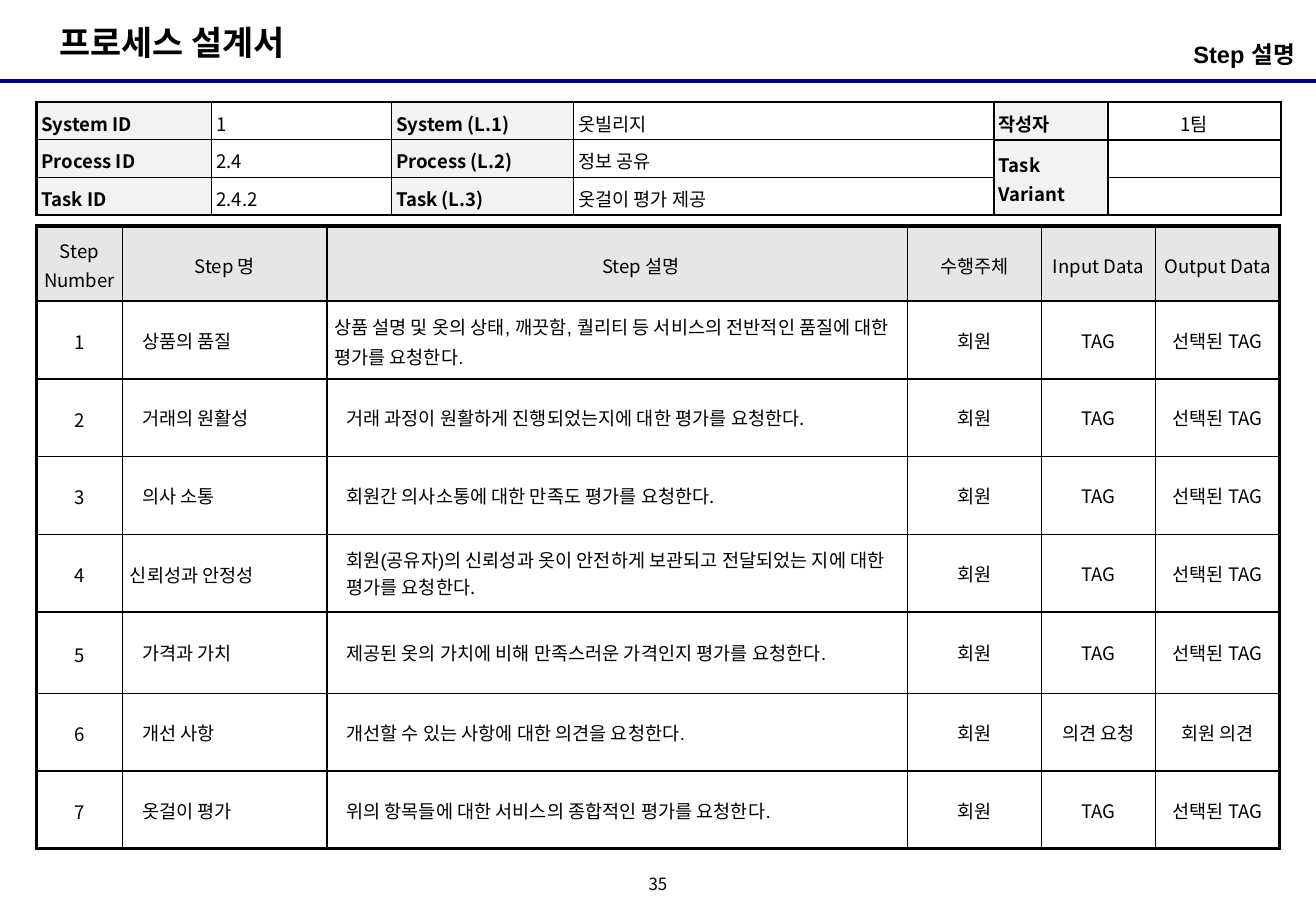
from dataclasses import dataclass

from lxml import etree
from pptx import Presentation
from pptx.dml.color import RGBColor
from pptx.enum.shapes import MSO_CONNECTOR
from pptx.enum.text import MSO_ANCHOR, PP_ALIGN
from pptx.oxml.ns import qn
from pptx.util import Inches, Pt

LEFT, CENTER, RIGHT = PP_ALIGN.LEFT, PP_ALIGN.CENTER, PP_ALIGN.RIGHT
TOP, MIDDLE = MSO_ANCHOR.TOP, MSO_ANCHOR.MIDDLE
STRAIGHT = MSO_CONNECTOR.STRAIGHT

COLORS = {"ink": "000000", "rule": "000080", "label": "F2F2F2", "heading": "E6E6E6"}
KOREAN, LATIN = "Noto Sans CJK KR", "Arial"
TABLE_SIZE = 11
THIN = 1


@dataclass
class Run:
    text: str
    font: str = KOREAN


@dataclass
class Cell:
    runs: list[Run]
    fill: str = ""
    bold: bool = False
    align: PP_ALIGN = LEFT
    anchor: MSO_ANCHOR = MIDDLE
    indent: float = 0
    spacing: float = 1.1
    bottom: float = THIN


@dataclass
class Grid:
    top: float
    columns: list[float]
    rows: list[float]
    side_inset: float
    frame: float


@dataclass
class Label:
    run: Run
    box: tuple[float, float, float, float]
    size: float
    insets: tuple[float, float]
    bold: bool = True
    wrap: bool = False
    align: PP_ALIGN = LEFT
    anchor: MSO_ANCHOR = TOP
    spacing: float = 1


def add_run(paragraph, run: Run, size: float, bold: bool) -> None:
    piece = paragraph.add_run()
    piece.text = run.text
    font = piece.font
    font.size, font.bold, font.name = Pt(size), bold, run.font
    font.color.rgb = RGBColor.from_string(COLORS["ink"])
    east_asian = etree.Element(qn("a:ea"), typeface=KOREAN)
    piece._r.get_or_add_rPr().find(qn("a:latin")).addnext(east_asian)


def add_label(slide, label: Label) -> None:
    frame = slide.shapes.add_textbox(*map(Inches, label.box)).text_frame
    frame.word_wrap = label.wrap
    frame.vertical_anchor = label.anchor
    side, end = map(Inches, label.insets)
    frame.margin_left = frame.margin_right = side
    frame.margin_top = frame.margin_bottom = end
    paragraph = frame.paragraphs[0]
    paragraph.alignment, paragraph.line_spacing = label.align, label.spacing
    add_run(paragraph, label.run, label.size, label.bold)


def set_borders(target, widths: dict[str, float]) -> None:
    properties = target._tc.get_or_add_tcPr()
    for index, (side, width) in enumerate(widths.items()):
        line = etree.Element(qn(f"a:ln{side}"), w=str(Pt(width)))
        solid = etree.SubElement(line, qn("a:solidFill"))
        etree.SubElement(solid, qn("a:srgbClr"), val=COLORS["ink"])
        properties.insert(index, line)


def fill_cell(target, cell: Cell, side_inset: float) -> None:
    target.margin_left = target.margin_right = Inches(side_inset)
    target.margin_top = target.margin_bottom = Inches(0.04)
    target.vertical_anchor = cell.anchor
    if cell.fill:
        target.fill.solid()
        target.fill.fore_color.rgb = RGBColor.from_string(COLORS[cell.fill])
    else:
        target.fill.background()
    paragraph = target.text_frame.paragraphs[0]
    paragraph.alignment, paragraph.line_spacing = cell.align, cell.spacing
    if cell.indent:
        properties = paragraph._p.get_or_add_pPr()
        properties.set("marL", str(Inches(cell.indent)))
        properties.set("indent", "0")
    for run in cell.runs:
        add_run(paragraph, run, TABLE_SIZE, cell.bold)
    if not cell.runs:
        etree.SubElement(paragraph._p, qn("a:endParaRPr"), sz=str(TABLE_SIZE * 100))


def add_grid(slide, grid: Grid, cells: list[list[Cell]], merged=None) -> None:
    row_count, column_count = len(grid.rows), len(grid.columns)
    table = slide.shapes.add_table(
        row_count, column_count, Inches(0.3), Inches(grid.top),
        Inches(sum(grid.columns)), Inches(sum(grid.rows))).table
    table.first_row = table.horz_banding = False
    for column, width in zip(table.columns, grid.columns):
        column.width = Inches(width)
    for row, height in zip(table.rows, grid.rows):
        row.height = Inches(height)
    if merged:
        first, last = merged
        table.cell(*first).merge(table.cell(*last))
    for r, row_cells in enumerate(cells):
        for c, cell in enumerate(row_cells):
            target = table.cell(r, c)
            fill_cell(target, cell, grid.side_inset)
            last_row = r + (target.span_height if target.is_merge_origin else 1)
            above = cells[r - 1][c].bottom
            set_borders(target, {
                "L": THIN if c else grid.frame,
                "R": THIN if c < column_count - 1 else grid.frame,
                "T": above if r else grid.frame,
                "B": cell.bottom if last_row < row_count else grid.frame,
            })


def name_cell(text: str) -> Cell:
    return Cell([Run(text)], fill="label", bold=True, anchor=TOP)


def value_cell(text: str) -> Cell:
    return Cell([Run(text)], anchor=TOP)


def centered(text: str, spacing: float = 1) -> Cell:
    return Cell([Run(text)], align=CENTER, spacing=spacing)


def heading(text: str, indent: float = 0) -> Cell:
    return Cell([Run(text)], fill="heading", align=CENTER, indent=indent)


def indented(runs: list[Run], flush: bool) -> Cell:
    return Cell(runs) if flush else Cell(runs, indent=0.1, spacing=1)


# Process identification: ID, level and author columns
IDENTITY = [
    ("System ID", "1", "System (L.1)", "옷빌리지"),
    ("Process ID", "2.4", "Process (L.2)", "정보 공유"),
    ("Task ID", "2.4.2", "Task (L.3)", "옷걸이 평가 제공"),
]
AUTHOR = [
    [Cell([Run("작성자")], fill="label", bold=True, bottom=1.5),
     Cell([Run("1팀")], align=CENTER, bottom=1.5)],
    [Cell([Run("Task Variant")], fill="label", bold=True), Cell([])],
    [Cell([], fill="label"), Cell([])],
]
IDENTITY_GRID = Grid(0.84, [1.44, 1.48, 1.5, 3.46, 0.94, 1.42], [0.31] * 3, 0.04, 1.5)

# Steps: name, description, input, output
ASK = "요청한다."
STEPS = [
    ("상품의 품질", [Run("상품 설명 및 "), Run(
        "옷의 상태, 깨끗함, 퀄리티 등 서비스의 전반적인 품질에 대한 평가를 요청한다.", LATIN)],
     "TAG", "선택된 TAG"),
    ("거래의 원활성", [Run("거래 과정이 원활하게 진행되었는지에 대한 평가를 ", LATIN), Run(ASK)],
     "TAG", "선택된 TAG"),
    ("의사 소통", [Run("회원간 의사소통에 대한 만족도 평가를 요청한다", LATIN), Run(".")],
     "TAG", "선택된 TAG"),
    ("신뢰성과 안정성", [Run(
        "회원(공유자)의 신뢰성과 옷이 안전하게 보관되고 전달되었는 지에 대한 평가를 ", LATIN), Run(ASK)],
     "TAG", "선택된 TAG"),
    ("가격과 가치", [Run("제공된 옷의 가치에 비해 만족스러운 가격인지 평가를 요청한다.", LATIN)],
     "TAG", "선택된 TAG"),
    ("개선 사항", [Run("개선할 수 있는 사항에 대한 의견을 요청한다.", LATIN)],
     "의견 요청", "회원 의견"),
    ("옷걸이 평가", [Run("위의 항목들에 대한 서비스의 종합적인 평가를 요청한다.", LATIN)],
     "TAG", "선택된 TAG"),
]
STEP_GRID = Grid(1.86, [0.71, 1.68, 4.78, 1.1, 0.94, 1.02],
                 [0.62] + [0.64] * 4 + [0.67] + [0.64] * 2, 0.06, 2.25)

LABELS = [
    Label(Run("프로세스 설계서"), (0.39, 0.13, 2.26, 0.44), 20, (0.1, 0.05)),
    Label(Run("Step 설명 ", LATIN), (7.39, 0.28, 3.31, 0.39), 14, (0, 0.05),
          wrap=True, align=RIGHT),
    Label(Run("35"), (5.25, 7.17, 0.33, 0.25), 10, (0, 0), bold=False,
          align=CENTER, anchor=MIDDLE, spacing=0.8),
]


def main() -> None:
    deck = Presentation()
    deck.slide_width, deck.slide_height = Inches(10.83), Inches(7.5)
    slide = deck.slides.add_slide(deck.slide_layouts[6])

    # Header rule
    rule = slide.shapes.add_connector(
        STRAIGHT, 0, Inches(0.67), deck.slide_width, Inches(0.67))
    rule.line.color.rgb = RGBColor.from_string(COLORS["rule"])
    rule.line.width = Pt(2.25)
    etree.SubElement(rule._element.spPr, qn("a:effectLst"))

    # Title, section name and page number
    for label in LABELS:
        add_label(slide, label)

    # Identification table
    identity = [[name_cell(key), value_cell(number), name_cell(level), value_cell(title), *author]
                for (key, number, level, title), author in zip(IDENTITY, AUTHOR)]
    add_grid(slide, IDENTITY_GRID, identity, merged=((1, 4), (2, 4)))

    # Step table
    steps = [[heading("Step Number"), heading("Step 명"), heading("Step 설명", 0.39),
              heading("수행주체"), heading("Input Data"), heading("Output Data")]]
    for number, (name, description, given, result) in enumerate(STEPS, 1):
        steps.append([
            centered(str(number), 1.1), indented([Run(name)], number == 4),
            indented(description, number == 1),
            centered("회원"), centered(given), centered(result)])
    add_grid(slide, STEP_GRID, steps)

    deck.save("out.pptx")


if __name__ == "__main__":
    main()
